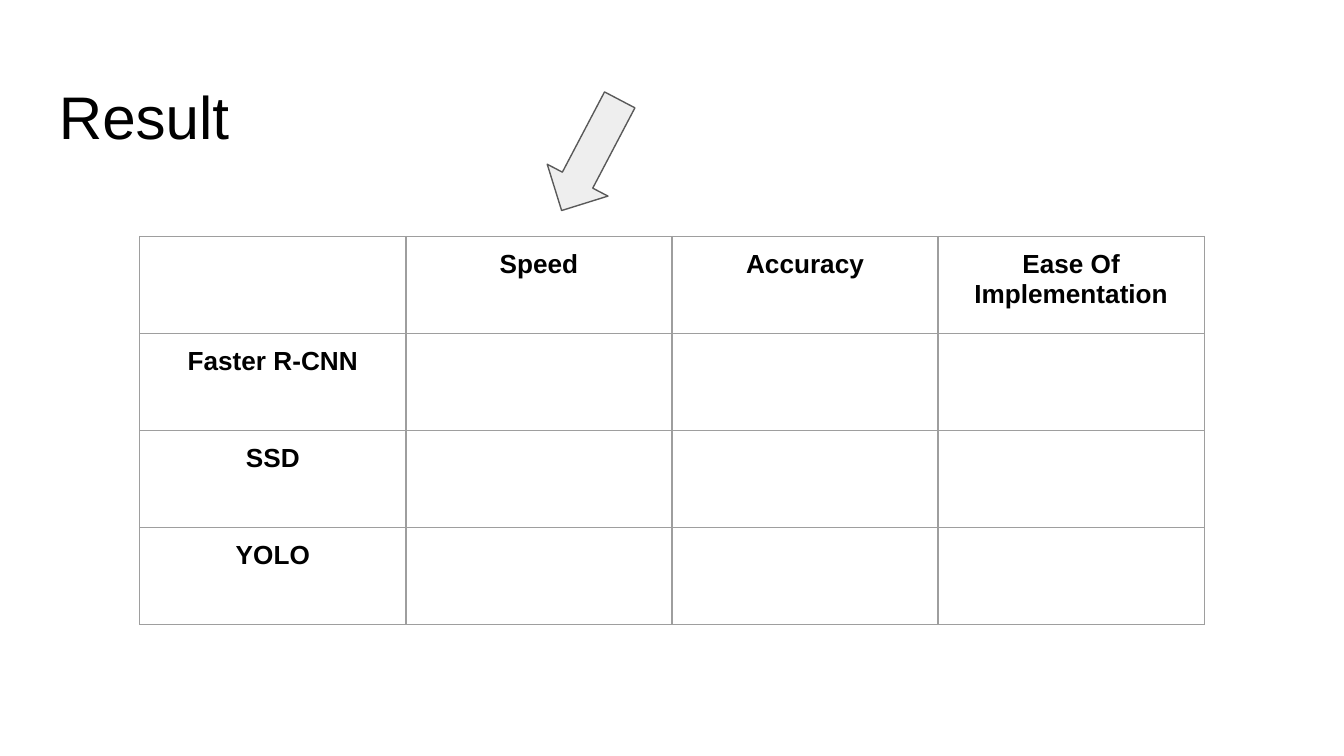
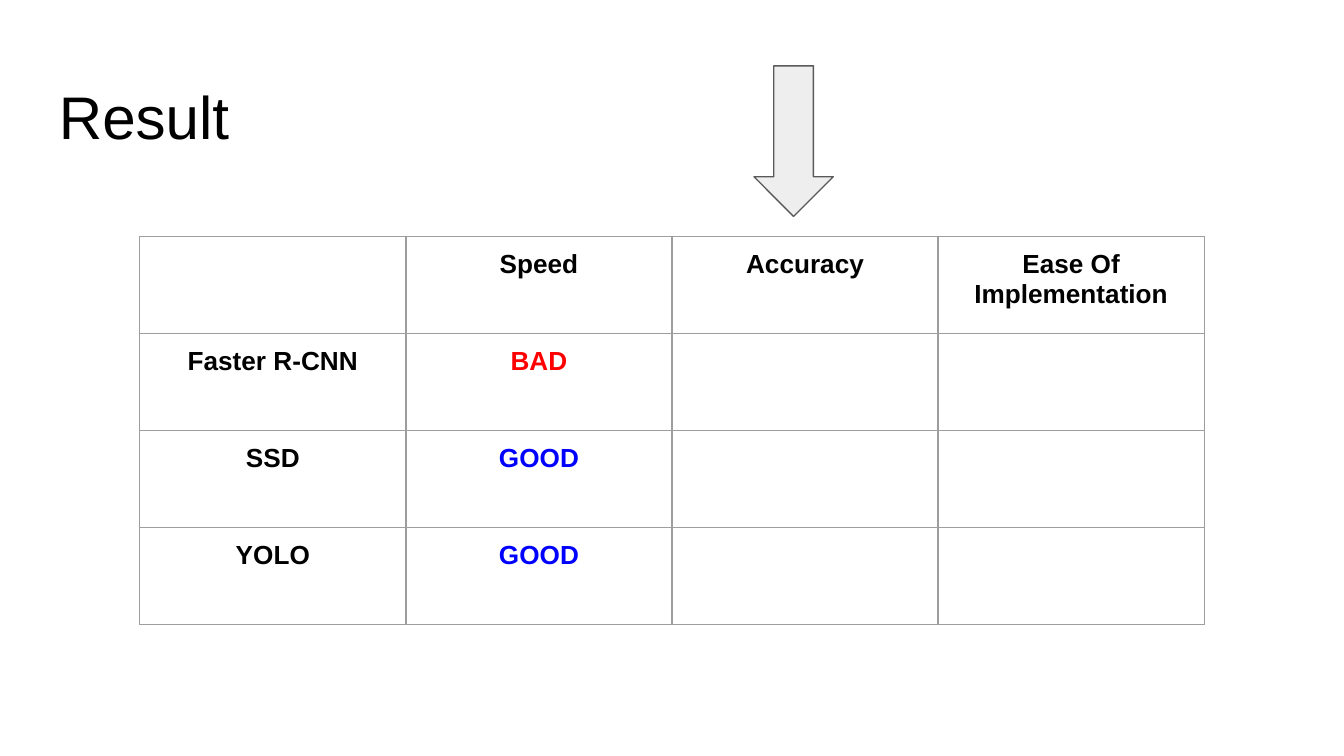
from pptx import Presentation
from pptx.dml.color import RGBColor
from pptx.enum.shapes import MSO_SHAPE as Shape
from pptx.enum.text import PP_ALIGN as Align
from pptx.oxml import parse_xml
from pptx.oxml.ns import nsdecls
from pptx.util import Inches, Pt

# Shared look
FONT = "Arial"
BLACK, RED, BLUE = "000000", "FF0000", "0000FF"
GRID, FILL, EDGE = "9E9E9E", "EEEEEE", "595959"
PAD = 0.1
TITLE_BOX = (0.34, 0.49, 9.32, 0.63)
TABLE_BOX = (1.04, 1.76, 7.92, 2.89)

HEADS = ["Speed", "Accuracy", "Ease Of Implementation"]
MODELS = ["Faster R-CNN", "SSD", "YOLO"]
TINTS = {"BAD": RED, "GOOD": BLUE}


def color(code):
    return RGBColor.from_string(code)


def add_run(para, text, size, tint=BLACK, bold=False):
    run = para.add_run()
    run.text = text
    font = run.font
    font.name, font.size, font.bold = FONT, Pt(size), bold
    font.color.rgb = color(tint)


def set_pads(item):
    item.margin_left = item.margin_right = Inches(PAD)
    item.margin_top = item.margin_bottom = Inches(PAD)


def add_title(slide, box, text):
    frame = slide.shapes.add_textbox(*map(Inches, box)).text_frame
    frame.word_wrap = True
    set_pads(frame)
    add_run(frame.paragraphs[0], text, 32.2)


def set_edges(cell):
    props = cell._tc.get_or_add_tcPr()
    for side in "LRTB":
        props.append(parse_xml(
            f'<a:ln{side} {nsdecls("a")} w="{Pt(0.75)}"><a:solidFill>'
            f'<a:srgbClr val="{GRID}"/></a:solidFill></a:ln{side}>'))


def add_grid(slide, box, rows):
    table = slide.shapes.add_table(
        len(rows), len(rows[0]), *map(Inches, box)).table
    table.first_row = table.horz_banding = False
    for r, row in enumerate(rows):
        for c, text in enumerate(row):
            cell = table.cell(r, c)
            set_pads(cell)
            set_edges(cell)
            cell.fill.background()
            if text:
                para = cell.text_frame.paragraphs[0]
                para.alignment = Align.CENTER
                add_run(para, text, 14, TINTS.get(text, BLACK), True)


def add_arrow(slide, box, turn):
    arrow = slide.shapes.add_shape(Shape.DOWN_ARROW, *map(Inches, box))
    arrow.rotation = turn
    arrow.shadow.inherit = False
    arrow.fill.solid()
    arrow.fill.fore_color.rgb = color(FILL)
    arrow.line.color.rgb = color(EDGE)
    arrow.line.width = Pt(0.75)


def add_result(deck, speeds, box, turn=0):
    slide = deck.slides.add_slide(deck.slide_layouts[6])
    add_title(slide, TITLE_BOX, "Result")
    # Only the speed column is rated so far
    rows = [[name, speed, "", ""] for name, speed in zip(MODELS, speeds)]
    add_grid(slide, TABLE_BOX, [["", *HEADS], *rows])
    add_arrow(slide, box, turn)


def main():
    deck = Presentation()
    # Widescreen, 16 to 9
    deck.slide_width = Inches(10)
    deck.slide_height = Inches(10 * 9 / 16)
    # Arrow at speed, then at accuracy
    add_result(deck, ["", "", ""], (4.14, 0.69, 0.51, 0.93), 27.7)
    add_result(deck, ["BAD", "GOOD", "GOOD"], (5.61, 0.49, 0.59, 1.12))
    deck.save("out.pptx")


if __name__ == "__main__":
    main()
